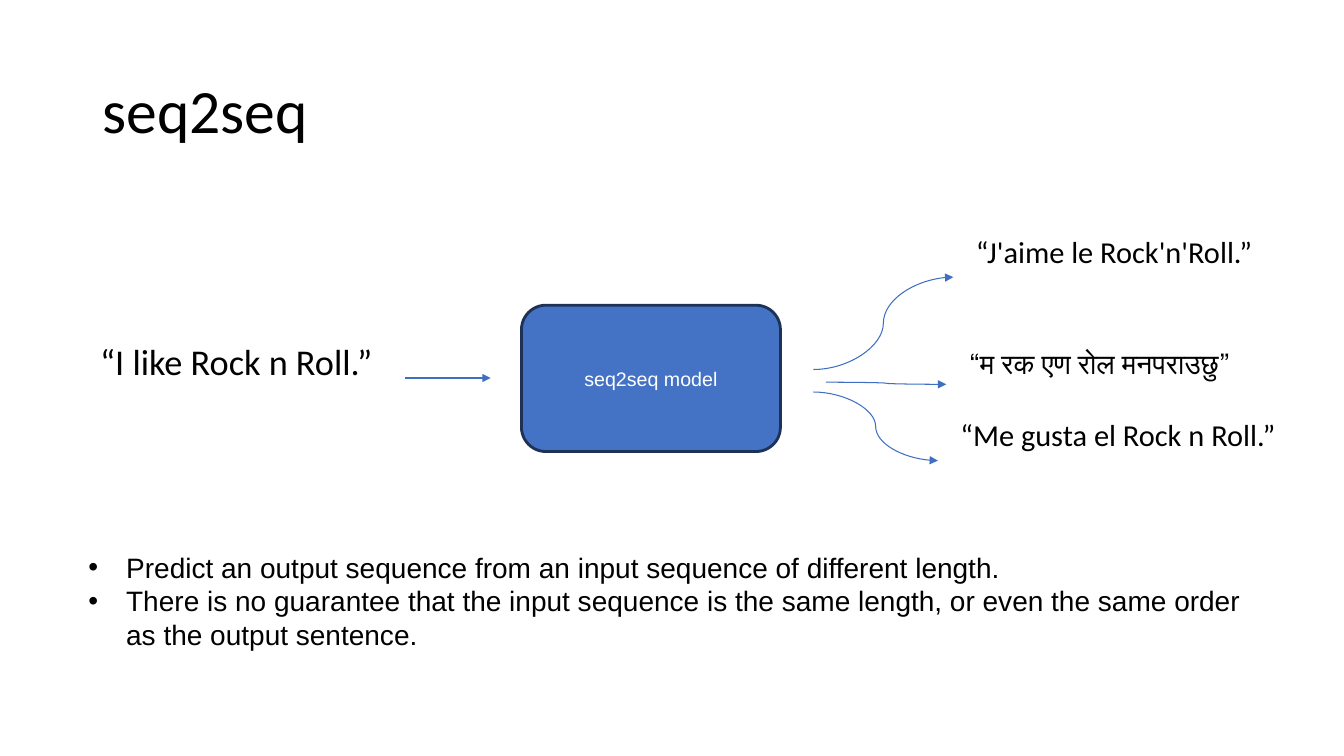
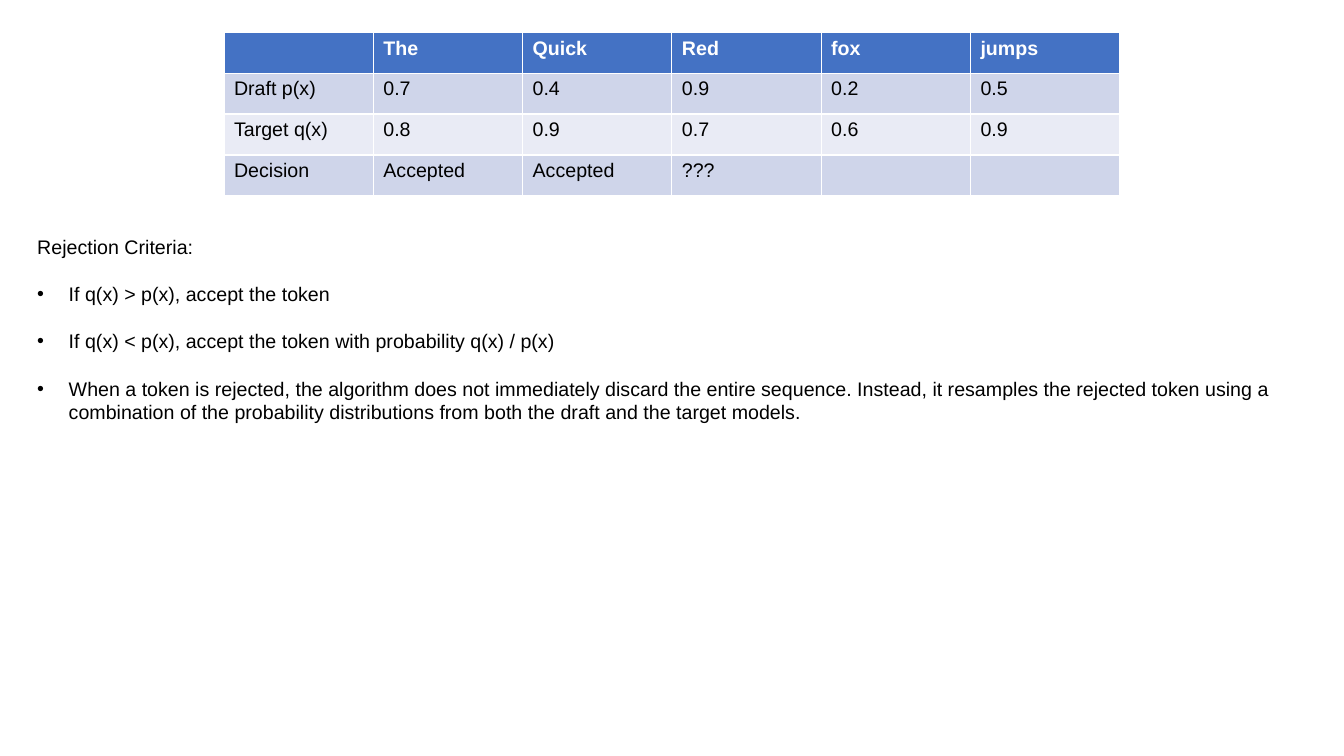
from lxml.etree import SubElement
from pptx import Presentation
from pptx.dml.color import RGBColor
from pptx.enum.shapes import MSO_CONNECTOR, MSO_SHAPE
from pptx.enum.text import MSO_ANCHOR, PP_ALIGN
from pptx.oxml.ns import qn
from pptx.util import Pt

# Colours and fonts
BLACK = RGBColor(0x00, 0x00, 0x00)
WHITE = RGBColor(0xFF, 0xFF, 0xFF)
BLUE = RGBColor(0x44, 0x72, 0xC4)
NAVY = RGBColor(0x1E, 0x32, 0x56)
ARROW = RGBColor(0x3F, 0x6F, 0xC3)
BANDS = (RGBColor(0xCF, 0xD5, 0xEA), RGBColor(0xE9, 0xEB, 0xF5))
SANS = "Arial"
HEAD = "Calibri"

TITLE_ONLY, BLANK = 5, 6

ROWS = (
    ("", "The", "Quick", "Red", "fox", "jumps"),
    ("Draft p(x)", "0.7", "0.4", "0.9", "0.2", "0.5"),
    ("Target q(x)", "0.8", "0.9", "0.7", "0.6", "0.9"),
    ("Decision", "Accepted", "Accepted", "???", "", ""),
)

GOALS = (
    "Predict an output sequence from an input sequence of different length.",
    "There is no guarantee that the input sequence is the same length, or even "
    "the same order as the output sentence.",
)

RULES = (
    "If q(x) > p(x), accept the token",
    "If q(x) < p(x), accept the token with probability q(x) / p(x)",
    "When a token is rejected, the algorithm does not immediately discard the "
    "entire sequence. Instead, it resamples the rejected token using a "
    "combination of the probability distributions from both the draft and the "
    "target models.",
)


def write(frame, text, size=14, font=SANS, color=BLACK, bold=False,
          align=PP_ALIGN.LEFT, line=None, before=0, hang=0):
    """Add one paragraph; hang is the indent of a bullet."""
    par = frame.paragraphs[0]
    if par.runs:
        par = frame.add_paragraph()
    par.alignment = align
    par.space_before = Pt(before)
    if line:
        par.line_spacing = line
    if hang:
        props = par._p.get_or_add_pPr()
        props.set("marL", str(Pt(hang)))
        props.set("indent", str(-Pt(hang)))
        SubElement(props, qn("a:buFont")).set("typeface", SANS)
        SubElement(props, qn("a:buChar")).set("char", "•")
    run = par.add_run()
    run.text = text
    run.font.size = Pt(size)
    run.font.name = font
    run.font.bold = bold
    run.font.color.rgb = color


def add_box(slide, left, top, width, height):
    box = slide.shapes.add_textbox(Pt(left), Pt(top), Pt(width), Pt(height))
    box.text_frame.word_wrap = True
    return box


def add_quote(slide, text, left, top, width, size, line):
    box = add_box(slide, left, top, width, 56)
    box.text_frame.margin_left = Pt(16)
    write(box.text_frame, text, size=size, font=HEAD, line=line)
    return box


def add_arrow(slide, kind, start, end):
    link = slide.shapes.add_connector(kind, *map(Pt, start + end))
    link.line.color.rgb = ARROW
    link.line.width = Pt(0.75)
    SubElement(link.line._get_or_add_ln(), qn("a:tailEnd")).set("type", "triangle")
    SubElement(link._element.spPr, qn("a:effectLst"))
    return link


def add_title(slide, text):
    title = slide.shapes.title
    title.left, title.top, title.width, title.height = map(Pt, (66, 29, 828, 104))
    title.text_frame.vertical_anchor = MSO_ANCHOR.MIDDLE
    write(title.text_frame, text, size=44, font=HEAD, line=0.9)


def add_model(slide, text):
    model = slide.shapes.add_shape(
        MSO_SHAPE.ROUNDED_RECTANGLE, Pt(372.5), Pt(218), Pt(185), Pt(104.5))
    model.shadow.inherit = False
    model.fill.solid()
    model.fill.fore_color.rgb = BLUE
    model.line.color.rgb = NAVY
    model.line.width = Pt(2)
    model.text_frame.vertical_anchor = MSO_ANCHOR.MIDDLE
    write(model.text_frame, text, color=WHITE, align=PP_ALIGN.CENTER)


def add_grid(slide, rows, left, top, width, height):
    shape = slide.shapes.add_table(
        len(rows), len(rows[0]), Pt(left), Pt(top), Pt(width), Pt(height))
    for r, row in enumerate(rows):
        for c, text in enumerate(row):
            cell = shape.table.cell(r, c)
            cell.fill.solid()
            cell.fill.fore_color.rgb = BANDS[(r - 1) % 2] if r else BLUE
            if text:
                write(cell.text_frame, text, bold=r == 0,
                      color=BLACK if r else WHITE)


def build_model(deck):
    slide = deck.slides.add_slide(deck.slide_layouts[TITLE_ONLY])
    add_title(slide, "seq2seq")

    # Input sentence and model
    source = add_quote(slide, "“I like Rock n Roll.”", 55.5, 242, 234, 25.9, 0.9)
    link = add_arrow(slide, MSO_CONNECTOR.STRAIGHT, (289.5, 270), (350.5, 270))
    link.begin_connect(source, 3)
    add_model(slide, "seq2seq model")

    # Output sentences, each with its arrow
    quotes = (
        ("“J'aime le Rock'n'Roll.”", 681, 170, 234, 21.7, 0.7, (581, 264)),
        ("“म रक एण रोल मनपराउछु”", 676, 246.5, 266, 20, 0.9, (590, 273)),
        ("“Me gusta el Rock n Roll.”", 670, 301, 266, 21.7, 0.7, (581, 280)),
    )
    for *place, start in quotes:
        quote = add_quote(slide, *place)
        end = (place[1], place[2] + 28)
        link = add_arrow(slide, MSO_CONNECTOR.CURVE, start, end)
        link.end_connect(quote, 1)

    # Remarks
    notes = add_box(slide, 56, 389.5, 838, 80)
    for goal in GOALS:
        write(notes.text_frame, goal, size=20, hang=27)


def build_rules(deck):
    slide = deck.slides.add_slide(deck.slide_layouts[BLANK])
    add_grid(slide, ROWS, 160, 23, 640, 117)
    rules = add_box(slide, 19.5, 164, 921, 143)
    write(rules.text_frame, "Rejection Criteria:")
    for rule in RULES:
        write(rules.text_frame, rule, before=17, hang=22.5)


def main():
    deck = Presentation()
    deck.slide_width, deck.slide_height = Pt(960), Pt(540)
    build_model(deck)
    build_rules(deck)
    deck.save("out.pptx")


if __name__ == "__main__":
    main()
